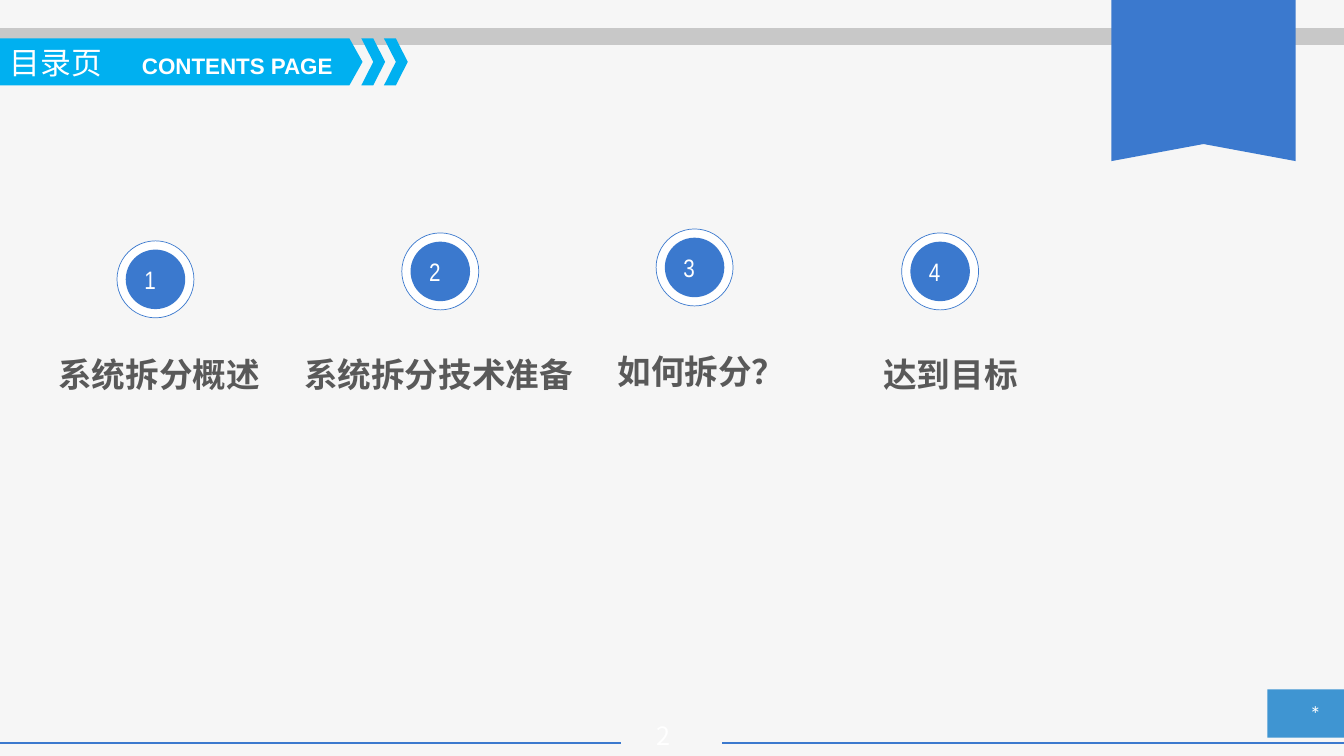
from lxml.etree import SubElement
from pptx import Presentation
from pptx.dml.color import RGBColor
from pptx.enum.shapes import MSO_CONNECTOR, MSO_SHAPE
from pptx.enum.text import MSO_ANCHOR, PP_ALIGN
from pptx.oxml.ns import qn
from pptx.util import Cm, Pt

BACKGROUND = RGBColor(0xF6, 0xF6, 0xF6)
BLUE = RGBColor(0x3B, 0x79, 0xCE)
CYAN = RGBColor(0x00, 0xB0, 0xF0)
CORNER_BLUE = RGBColor(0x3F, 0x95, 0xD2)
GREY = RGBColor(0xC8, 0xC8, 0xC8)
DARK_GREY = RGBColor(0x59, 0x59, 0x59)
WHITE = RGBColor(0xFF, 0xFF, 0xFF)
CJK_FONT = "Noto Sans CJK JP"

presentation = Presentation()
presentation.slide_width = Cm(33.88)
presentation.slide_height = Cm(19.05)
slide = presentation.slides.add_slide(presentation.slide_layouts[6])
slide.background.fill.solid()
slide.background.fill.fore_color.rgb = BACKGROUND
shapes = slide.shapes


def paint(shape, color):
    """Give a shape a flat fill with no outline or shadow."""
    shape.shadow.inherit = False
    shape.fill.solid()
    shape.fill.fore_color.rgb = color
    shape.line.fill.background()


def write(shape, text, size, font_name, color=WHITE, bold=False, align=PP_ALIGN.LEFT):
    """Set one formatted line of text, for Latin and East Asian letters alike."""
    shape.text_frame.word_wrap = True
    paragraph = shape.text_frame.paragraphs[0]
    paragraph.text = text
    paragraph.alignment = align
    run = paragraph.runs[0]
    run.font.size = Pt(size)
    run.font.name = font_name
    run.font.bold = bold
    run.font.color.rgb = color
    SubElement(run.font._element, qn("a:ea"), typeface=font_name)


# Rules across the bottom and top
for left, right, y, color, width in [
    (18.21, 33.88, 18.72, BLUE, 1.75),
    (0, 15.65, 18.72, BLUE, 1.75),
    (0, 33.88, 0.91, GREY, 12),
]:
    rule = shapes.add_connector(MSO_CONNECTOR.STRAIGHT, Cm(left), Cm(y), Cm(right), Cm(y))
    rule.line.color.rgb = color
    rule.line.width = Pt(width)
    SubElement(rule._element.spPr, qn("a:effectLst"))

# Ribbon, heading banner and its two chevrons
top, middle, bottom = 0.97, 1.56, 2.15
ribbon = [(28.02, 0), (32.66, 0), (32.66, 4.06), (30.34, 3.63), (28.02, 4.06)]
banner = [(0, top), (8.81, top), (9.14, middle), (8.81, bottom), (0, bottom)]
outlines = [(ribbon, BLUE), (banner, CYAN)]
for left in (9.11, 9.68):
    chevron = [(left, top), (left + 0.3, top), (left + 0.6, middle),
               (left + 0.3, bottom), (left, bottom), (left + 0.3, middle)]
    outlines.append((chevron, CYAN))
for points, color in outlines:
    corners = [(Cm(x), Cm(y)) for x, y in points]
    builder = shapes.build_freeform(*corners[0])
    builder.add_line_segments(corners[1:], close=True)
    paint(builder.convert_to_shape(), color)

corner = shapes.add_shape(MSO_SHAPE.RECTANGLE, Cm(31.95), Cm(17.37), Cm(1.93), Cm(1.22))
paint(corner, CORNER_BLUE)

# Heading, corner mark and page number
for text, left, y, width, height, size, font_name, bold, align in [
    ("*", 32.77, 17.53, 0.91, 0.94, 16, "Calibri", False, PP_ALIGN.LEFT),
    ("CONTENTS PAGE", 3.33, 1.19, 5.77, 0.94, 16, "Arial", True, PP_ALIGN.LEFT),
    ("目录页", 0, 0.97, 3.33, 1.19, 22, "Arial", False, PP_ALIGN.LEFT),
    ("2", 15.72, 18.02, 2, 1.03, 18, CJK_FONT, False, PP_ALIGN.CENTER),
]:
    box = shapes.add_textbox(Cm(left), Cm(y), Cm(width), Cm(height))
    write(box, text, size, font_name, bold=bold, align=align)

# Chapters: a ringed number above each title
RING, DISC = 1.94, 1.5
inset = (RING - DISC) / 2
chapters = [
    ("系统拆分概述", 2.95, 6.07, 1.22, 8.79, 5.69),
    ("系统拆分技术准备", 10.13, 5.87, 7.42, 8.79, 7.52),
    ("如何拆分？", 16.54, 5.77, 15.32, 8.71, 6.05),
    ("达到目标", 22.73, 5.87, 22.02, 8.79, 4.37),
]
for number, (title, ring_left, ring_top, left, title_top, width) in enumerate(chapters, 1):
    ring = shapes.add_shape(MSO_SHAPE.OVAL, Cm(ring_left), Cm(ring_top), Cm(RING), Cm(RING))
    paint(ring, WHITE)
    ring.line.color.rgb = BLUE
    ring.line.width = Pt(0.5)
    disc = shapes.add_shape(MSO_SHAPE.OVAL, Cm(ring_left + inset), Cm(ring_top + inset),
                            Cm(DISC), Cm(DISC))
    paint(disc, BLUE)
    disc.text_frame.vertical_anchor = MSO_ANCHOR.MIDDLE
    write(disc, str(number), 18, "Arial Narrow")
    title_box = shapes.add_textbox(Cm(left), Cm(title_top), Cm(width), Cm(1.27))
    write(title_box, title, 24, CJK_FONT, DARK_GREY, bold=True)

presentation.save("out.pptx")
